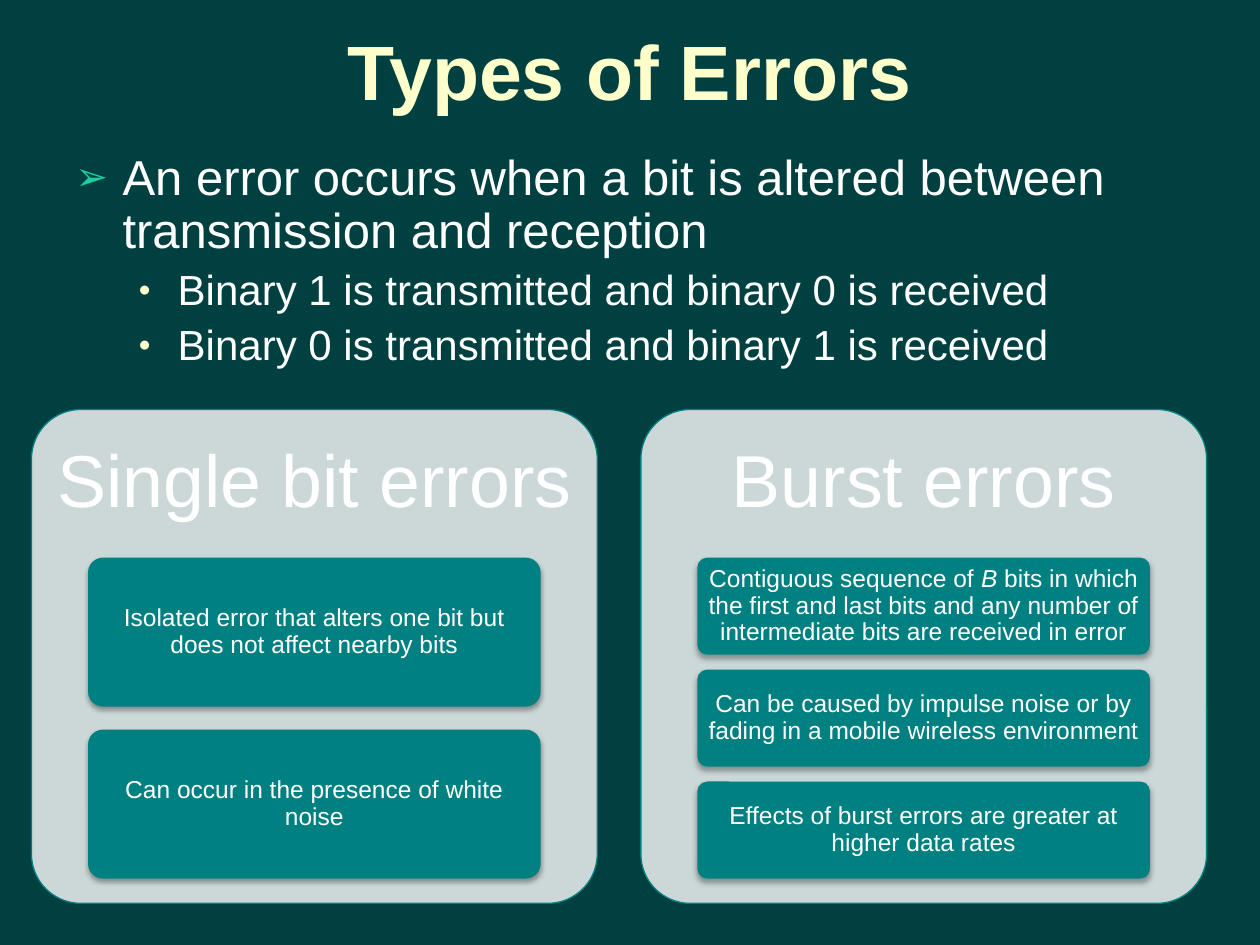
from dataclasses import dataclass

from lxml import etree
from pptx import Presentation
from pptx.dml.color import RGBColor
from pptx.enum import shapes, text
from pptx.oxml import ns
from pptx.util import Pt

BACKGROUND = RGBColor(0x00, 0x40, 0x40)
CREAM = RGBColor(0xFF, 0xFF, 0xCC)
WHITE = RGBColor(0xFF, 0xFF, 0xFF)
MINT = RGBColor(0x1A, 0xCE, 0x9F)
TEAL = RGBColor(0x00, 0x80, 0x80)
PANEL_GREY = RGBColor(0xCC, 0xD8, 0xD8)
BLACK = RGBColor(0x00, 0x00, 0x00)

PANEL_TOP, PANEL_WIDTH, PANEL_HEIGHT = 234, 323.3, 282.2
CARD_GAP_RATIO = 2 / 13  # gap between cards, relative to card height


@dataclass(frozen=True)
class Span:
    words: str
    italic: bool = False


@dataclass(frozen=True)
class Bullet:
    words: str
    size: float
    margin: float
    hang: float
    mark: str
    mark_color: RGBColor
    mark_percent: int
    level: int = 0


@dataclass(frozen=True)
class Panel:
    left: float
    heading: str
    cards: tuple[tuple[Span, ...], ...]


BULLETS = (
    Bullet("An error occurs when a bit is altered between transmission and reception",
           28, 27, 27, "➢", MINT, 80),
    *(Bullet(words, 24, 58.5, 22.5, "●", CREAM, 50, level=1) for words in (
        "Binary 1 is transmitted and binary 0 is received",
        "Binary 0 is transmitted and binary 1 is received",
    )),
)

PANELS = (
    Panel(18, "Single bit errors", (
        (Span("Isolated error that alters one bit but does not affect nearby bits"),),
        (Span("Can occur in the presence of white noise"),),
    )),
    Panel(366.2, "Burst errors", (
        (Span("Contiguous sequence of "), Span("B", italic=True),
         Span(" bits in which the first and last bits and any number of "
              "intermediate bits are received in error")),
        (Span("Can be caused by impulse noise or by fading in a mobile "
              "wireless environment"),),
        (Span("Effects of burst errors are greater at higher data rates"),),
    )),
)


def add_xml(parent, tag: str, **attributes):
    return etree.SubElement(parent, ns.qn(tag), attributes)


def style_font(para, size: float, color: RGBColor, bold: bool = False) -> None:
    font = para.font
    font.name, font.size, font.bold = "Arial", Pt(size), bold
    font.color.rgb = color


def set_frame(box, across: float, down: float, anchor=text.MSO_ANCHOR.MIDDLE):
    frame = box.text_frame
    frame.word_wrap = True
    frame.vertical_anchor = anchor
    frame.margin_left = frame.margin_right = Pt(across)
    frame.margin_top = frame.margin_bottom = Pt(down)
    return frame


def add_text_box(page, left: float, top: float, width: float, height: float):
    return page.shapes.add_textbox(Pt(left), Pt(top), Pt(width), Pt(height))


def add_heading(box, words: str, size: float, color: RGBColor, inset: float,
                bold: bool = False, spacing: float = 1) -> None:
    para = set_frame(box, inset, inset).paragraphs[0]
    para.text = words
    para.alignment = text.PP_ALIGN.CENTER
    para.line_spacing = spacing
    style_font(para, size, color, bold)


def add_bullet(para, bullet: Bullet) -> None:
    para.text = bullet.words
    para.level = bullet.level
    para.line_spacing = 0.9
    para.space_before = Pt(round(bullet.size * 0.23, 1))
    properties = para._p.get_or_add_pPr()
    properties.set("marL", str(Pt(bullet.margin)))
    properties.set("indent", str(-Pt(bullet.hang)))
    color = add_xml(properties, "a:buClr")
    add_xml(color, "a:srgbClr", val=str(bullet.mark_color))
    add_xml(properties, "a:buSzPct", val=str(bullet.mark_percent * 1000))
    add_xml(properties, "a:buFont", typeface="Arial")
    add_xml(properties, "a:buChar", char=bullet.mark)
    style_font(para, bullet.size, WHITE)


def add_rounded(page, left: float, top: float, width: float, height: float,
                fill: RGBColor):
    box = page.shapes.add_shape(shapes.MSO_SHAPE.ROUNDED_RECTANGLE,
                                Pt(left), Pt(top), Pt(width), Pt(height))
    box.adjustments[0] = 0.1
    box.shadow.inherit = False
    box.fill.solid()
    box.fill.fore_color.rgb = fill
    return box


def add_soft_shadow(box) -> None:
    effects = box._element.spPr.find(ns.qn("a:effectLst"))
    shadow = add_xml(effects, "a:outerShdw", blurRad=str(Pt(3.1)), dist=str(Pt(1.8)),
                     dir="5400000", rotWithShape="0")
    color = add_xml(shadow, "a:srgbClr", val=str(BLACK))
    add_xml(color, "a:alpha", val="35000")


def add_card(page, left: float, top: float, width: float, height: float,
             spans: tuple[Span, ...]) -> None:
    box = add_rounded(page, left, top, width, height, TEAL)
    box.line.fill.background()
    add_soft_shadow(box)
    para = set_frame(box, 2.8, 2.1).paragraphs[0]
    para.alignment = text.PP_ALIGN.CENTER
    para.line_spacing = 0.9
    style_font(para, 14, WHITE)
    for span in spans:
        run = para.add_run()
        run.text = span.words
        if span.italic:
            run.font.italic = True


def add_panel(page, panel: Panel) -> None:
    back = add_rounded(page, panel.left, PANEL_TOP, PANEL_WIDTH, PANEL_HEIGHT, PANEL_GREY)
    back.line.color.rgb = TEAL
    back.line.width = Pt(0.75)
    # The heading takes 30 % of the panel, the cards the next 65 %
    heading_height = 0.3 * PANEL_HEIGHT
    heading = add_text_box(page, panel.left, PANEL_TOP, PANEL_WIDTH, heading_height)
    add_heading(heading, panel.heading, 42, WHITE, inset=12.2, spacing=0.9)
    count = len(panel.cards)
    height = 0.65 * PANEL_HEIGHT / (count + (count - 1) * CARD_GAP_RATIO)
    for index, spans in enumerate(panel.cards):
        top = PANEL_TOP + heading_height + index * height * (1 + CARD_GAP_RATIO)
        add_card(page, panel.left + 0.1 * PANEL_WIDTH, top, 0.8 * PANEL_WIDTH, height, spans)


def main() -> None:
    deck = Presentation()
    deck.slide_width, deck.slide_height = Pt(720), Pt(540)
    page = deck.slides.add_slide(deck.slide_layouts[6])
    page.background.fill.solid()
    page.background.fill.fore_color.rgb = BACKGROUND

    # Title
    title = add_text_box(page, 36, 0, 648, 80)
    add_heading(title, "Types of Errors", 44, CREAM, inset=3.6, bold=True)

    # Bullet list
    body = add_text_box(page, 36, 84.2, 648, 140)
    frame = set_frame(body, 7.2, 3.6, text.MSO_ANCHOR.TOP)
    for index, bullet in enumerate(BULLETS):
        add_bullet(frame.add_paragraph() if index else frame.paragraphs[0], bullet)

    # Panels with cards
    for panel in PANELS:
        add_panel(page, panel)

    deck.save("out.pptx")


if __name__ == "__main__":
    main()
